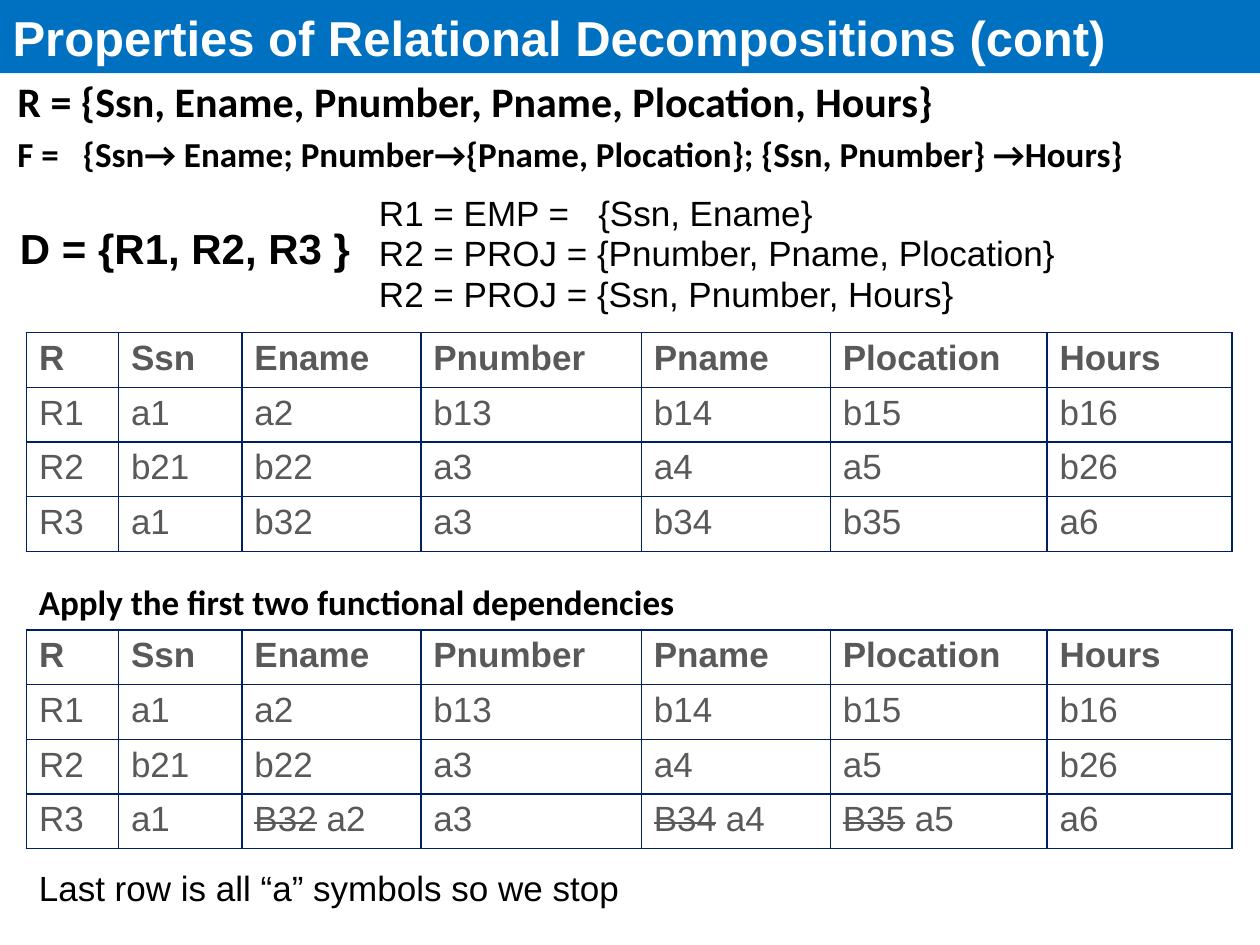
from lxml.etree import SubElement as Sub
from pptx import Presentation
from pptx.dml.color import RGBColor
from pptx.enum.text import MSO_ANCHOR as Anchor, MSO_AUTO_SIZE as Fit, PP_ALIGN as Align
from pptx.oxml.ns import qn
from pptx.util import Inches, Pt

TITLE = "Properties of Relational Decompositions (cont)"
GIVEN = [
    ("R = {Ssn, Ename, Pnumber, Pname, Plocation, Hours}", 24, 0),
    ("F =\t{Ssn→ Ename; Pnumber→{Pname, Plocation}; {Ssn, Pnumber} →Hours}", 20, 4),
]
PARTS = [
    "R1 = EMP =\t{Ssn, Ename}",
    "R2 = PROJ = {Pnumber, Pname, Plocation}",
    "R2 = PROJ = {Ssn, Pnumber, Hours}",
]
LABELS = [
    ("D = {R1, R2, R3 }", 0.06, 1.72, 2.85, 0.5, 24, "Arial", True),
    ("Apply the first two functional dependencies", 0.21, 4.56, 6.38, 0.44, 20, "Calibri", True),
    ("Last row is all “a” symbols so we stop", 0.21, 6.83, 6.38, 0.44, 20, "Arial", False),
]
COLS = [0.73, 0.98, 1.42, 1.75, 1.5, 1.72, 1.47]
HEAD = [
    ["R", "Ssn", "Ename", "Pnumber", "Pname", "Plocation", "Hours"],
    ["R1", "a1", "a2", "b13", "b14", "b15", "b16"],
    ["R2", "b21", "b22", "a3", "a4", "a5", "b26"],
]
FIRST = HEAD + [["R3", "a1", "b32", "a3", "b34", "b35", "a6"]]
NEXT = HEAD + [["R3", "a1", ("B32", " a2"), "a3", ("B34", " a4"), ("B35", " a5"), "a6"]]


def paint(item, color):
    item.solid()
    item.fore_color.rgb = RGBColor.from_string(color)


def style(para, size, name="Arial", color="000000", bold=False):
    font = para.font
    font.size, font.name, font.bold = Pt(size), name, bold
    paint(font.fill, color)


def add_box(slide, left, top, width, height, wrap=True):
    box = slide.shapes.add_textbox(*map(Inches, (left, top, width, height)))
    box.text_frame.word_wrap = wrap
    return box.text_frame


def set_tab(para, pos):
    stops = Sub(para._p.get_or_add_pPr(), qn("a:tabLst"))
    Sub(stops, qn("a:tab"), pos=str(Inches(pos)), algn="l")


def fill_cell(cell, value, bold):
    para = cell.text_frame.paragraphs[0]
    if isinstance(value, tuple):
        old, new = para.add_run(), para.add_run()
        old.text, new.text = value
        old._r.get_or_add_rPr().set("strike", "sngStrike")
    else:
        para.text = value
    style(para, 20, color="595959", bold=bold)
    props = cell._tc.get_or_add_tcPr()
    for side in ("lnL", "lnR", "lnT", "lnB"):
        line = Sub(props, qn("a:" + side), w=str(Pt(1)))
        Sub(Sub(line, qn("a:solidFill")), qn("a:srgbClr"), val="002060")
    cell.fill.background()


def add_grid(slide, top, rows):
    frame = slide.shapes.add_table(
        len(rows), len(COLS), Inches(0.21), Inches(top), Inches(sum(COLS)), Inches(1.73))
    table = frame.table
    table.first_row = table.horz_banding = False
    for col, width in zip(table.columns, COLS):
        col.width = Inches(width)
    for r, row in enumerate(rows):
        for c, value in enumerate(row):
            fill_cell(table.cell(r, c), value, r == 0)


def main():
    """Build the relational decomposition slide."""
    deck = Presentation()
    deck.slide_width, deck.slide_height = Inches(10), Inches(7.5)
    slide = deck.slides.add_slide(deck.slide_layouts[5])

    title = slide.shapes.title
    title.left, title.top, title.width, title.height = map(Inches, (0, 0, 10, 0.58))
    paint(title.fill, "0070C0")
    frame = title.text_frame
    frame.text = TITLE
    frame.auto_size, frame.vertical_anchor = Fit.NONE, Anchor.BOTTOM
    para = frame.paragraphs[0]
    para.alignment = Align.LEFT
    style(para, 28, color="FFFFFF", bold=True)

    frame = add_box(slide, 0.04, 0.55, 9.92, 0.91)
    frame.text = "\n".join(text for text, *_ in GIVEN)
    for para, (_, size, gap) in zip(frame.paragraphs, GIVEN):
        para.space_before = Pt(gap)
        style(para, size, "Calibri", bold=True)
    set_tab(frame.paragraphs[1], 0.52)

    for i, text in enumerate(PARTS):
        para = add_box(slide, 2.91, 1.47 + 0.32 * i, 6.57, 0.44).paragraphs[0]
        para.text = text
        style(para, 20)
        if "\t" in text:
            set_tab(para, 1.74)

    for text, left, top, width, height, size, name, bold in LABELS:
        para = add_box(slide, left, top, width, height, size == 20).paragraphs[0]
        para.text = text
        style(para, size, name, bold=bold)

    add_grid(slide, 2.64, FIRST)
    add_grid(slide, 5, NEXT)
    deck.save("out.pptx")


if __name__ == "__main__":
    main()
